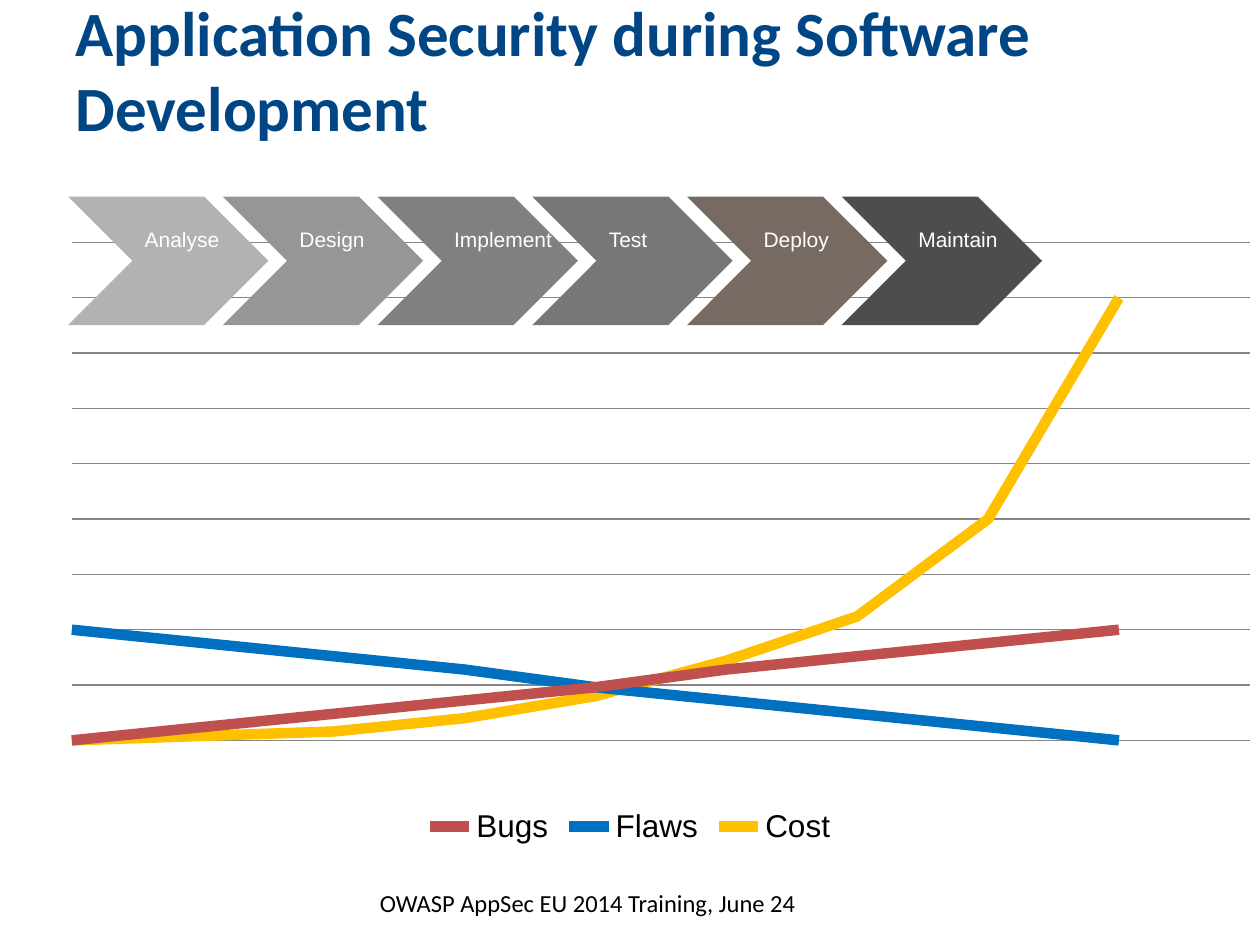
from lxml import etree
from pptx import Presentation
from pptx.chart.data import XyChartData
from pptx.dml.color import RGBColor
from pptx.enum.chart import XL_CHART_TYPE, XL_LEGEND_POSITION
from pptx.enum.shapes import MSO_SHAPE
from pptx.enum.text import MSO_ANCHOR, MSO_AUTO_SIZE, PP_ALIGN
from pptx.oxml.ns import qn
from pptx.util import Inches, Pt

SMOOTH = XL_CHART_TYPE.XY_SCATTER_SMOOTH_NO_MARKERS
BOTTOM = XL_LEGEND_POSITION.BOTTOM
CHEVRON = MSO_SHAPE.CHEVRON
TOP, MIDDLE = MSO_ANCHOR.TOP, MSO_ANCHOR.MIDDLE
FIXED = MSO_AUTO_SIZE.NONE
LEFT, CENTER = PP_ALIGN.LEFT, PP_ALIGN.CENTER

NAVY = RGBColor(0x00, 0x46, 0x85)
BLACK = RGBColor(0x00, 0x00, 0x00)
WHITE = RGBColor(0xFF, 0xFF, 0xFF)
GRID = RGBColor(0x86, 0x86, 0x86)
RED = RGBColor(0xC0, 0x50, 0x4D)
BLUE = RGBColor(0x00, 0x70, 0xC0)
GOLD = RGBColor(0xFF, 0xC0, 0x00)

PHASES = [
    ("Analyse", RGBColor(0xB2, 0xB2, 0xB2)),
    ("Design", RGBColor(0x96, 0x96, 0x96)),
    ("Implement", RGBColor(0x80, 0x80, 0x80)),
    ("Test", RGBColor(0x77, 0x77, 0x77)),
    ("Deploy", RGBColor(0x76, 0x6A, 0x62)),
    ("Maintain", RGBColor(0x4D, 0x4D, 0x4D)),
]
CURVES = [
    ("Bugs", RED, [0, 3, 6, 9, 12, 16, 19, 22, 25]),
    ("Flaws", BLUE, [25, 22, 19, 16, 12, 9, 6, 3, 0]),
    ("Cost", GOLD, [0, 1, 2, 5, 10, 18, 28, 50, 100]),
]
PLOT = {"x": 0.057, "y": 0, "w": 0.935, "h": 0.819}


def assign(target, values):
    for name, value in values.items():
        setattr(target, name, value)


class Deck:
    title_font = {"name": "Calibri", "size": Pt(36), "bold": True}
    foot_font = {"name": "Calibri", "size": Pt(14)}
    phase_font = {"name": "Arial", "size": Pt(12)}
    chart_font = {"name": "Arial", "size": Pt(18)}

    def __init__(self, slide):
        self.slide = slide

    def label(self, shape, text, font, color, align, frame):
        body = shape.text_frame
        body.text = text
        assign(body, {"auto_size": FIXED, "word_wrap": True, **frame})
        line = body.paragraphs[0]
        line.alignment = align
        assign(line.font, font)
        line.font.color.rgb = color

    def margins(self, side, top):
        return {"margin_left": Inches(side), "margin_right": Inches(side),
                "margin_top": Inches(top), "margin_bottom": Inches(top)}

    def title(self, text):
        shape = self.slide.shapes.title
        assign(shape, {"left": Inches(0.5), "top": Inches(0.3),
                       "width": Inches(9), "height": Inches(0.49)})
        frame = {"vertical_anchor": MIDDLE, **self.margins(0.1, 0.1)}
        self.label(shape, text, self.title_font, NAVY, LEFT, frame)

    def footer(self, text):
        box = self.slide.shapes.add_textbox(
            Inches(1.72), Inches(6.95), Inches(5.89), Inches(0.4))
        self.label(box, text, self.foot_font, BLACK, CENTER,
                   self.margins(0.1, 0.1))

    def chart(self, curves):
        data = XyChartData()
        for name, _, values in curves:
            series = data.add_series(name)
            for step, value in enumerate(values):
                series.add_data_point(step / 2, value)
        chart = self.slide.shapes.add_chart(
            SMOOTH, Inches(0), Inches(1.92), Inches(10), Inches(4.83), data).chart
        assign(chart, {"has_title": False, "has_legend": True})
        assign(chart.legend, {"position": BOTTOM, "include_in_layout": False})
        assign(chart.font, self.chart_font)
        chart.font.color.rgb = BLACK
        assign(chart.category_axis, {
            "minimum_scale": 0, "maximum_scale": 4.5, "visible": False,
            "has_major_gridlines": False})
        assign(chart.value_axis, {
            "minimum_scale": 0, "maximum_scale": 112.5, "major_unit": 12.5,
            "visible": False, "has_major_gridlines": True})
        grid = chart.value_axis.major_gridlines.format.line
        grid.color.rgb = GRID
        grid.width = Pt(0.75)
        plot = chart.plots[0]
        plot.vary_by_categories = False
        for series, (_, color, _) in zip(plot.series, curves):
            series.smooth = True
            series.format.line.color.rgb = color
            series.format.line.width = Pt(6)
        self.layout(chart)

    def layout(self, chart):
        area = chart.element.find(".//" + qn("c:plotArea"))
        old = area.find(qn("c:layout"))
        if old is not None:
            area.remove(old)
        node = etree.Element(qn("c:layout"))
        area.insert(0, node)
        manual = etree.SubElement(node, qn("c:manualLayout"))
        parts = {"layoutTarget": "inner", "xMode": "edge", "yMode": "edge", **PLOT}
        for name, value in parts.items():
            etree.SubElement(manual, qn("c:" + name)).set("val", str(value))

    def phases(self, items):
        group = self.slide.shapes.add_group_shape()
        frame = {"word_wrap": False, "vertical_anchor": TOP,
                 **self.margins(0.1, 0.05), "margin_top": Inches(0.24)}
        for index, (text, color) in enumerate(items):
            shape = group.shapes.add_shape(
                CHEVRON, Inches(0.54 + 1.228 * index), Inches(1.56),
                Inches(1.59), Inches(1.02))
            shape.shadow.inherit = False
            shape.fill.solid()
            shape.fill.fore_color.rgb = color
            shape.line.fill.background()
            self.label(shape, text, self.phase_font, WHITE, LEFT, frame)


def main():
    show = Presentation()
    show.slide_width, show.slide_height = Inches(10), Inches(7.5)
    deck = Deck(show.slides.add_slide(show.slide_layouts[5]))
    deck.title("Application Security during Software Development")
    deck.chart(CURVES)
    deck.phases(PHASES)
    deck.footer("OWASP AppSec EU 2014 Training, June 24")
    show.save("out.pptx")


if __name__ == "__main__":
    main()
